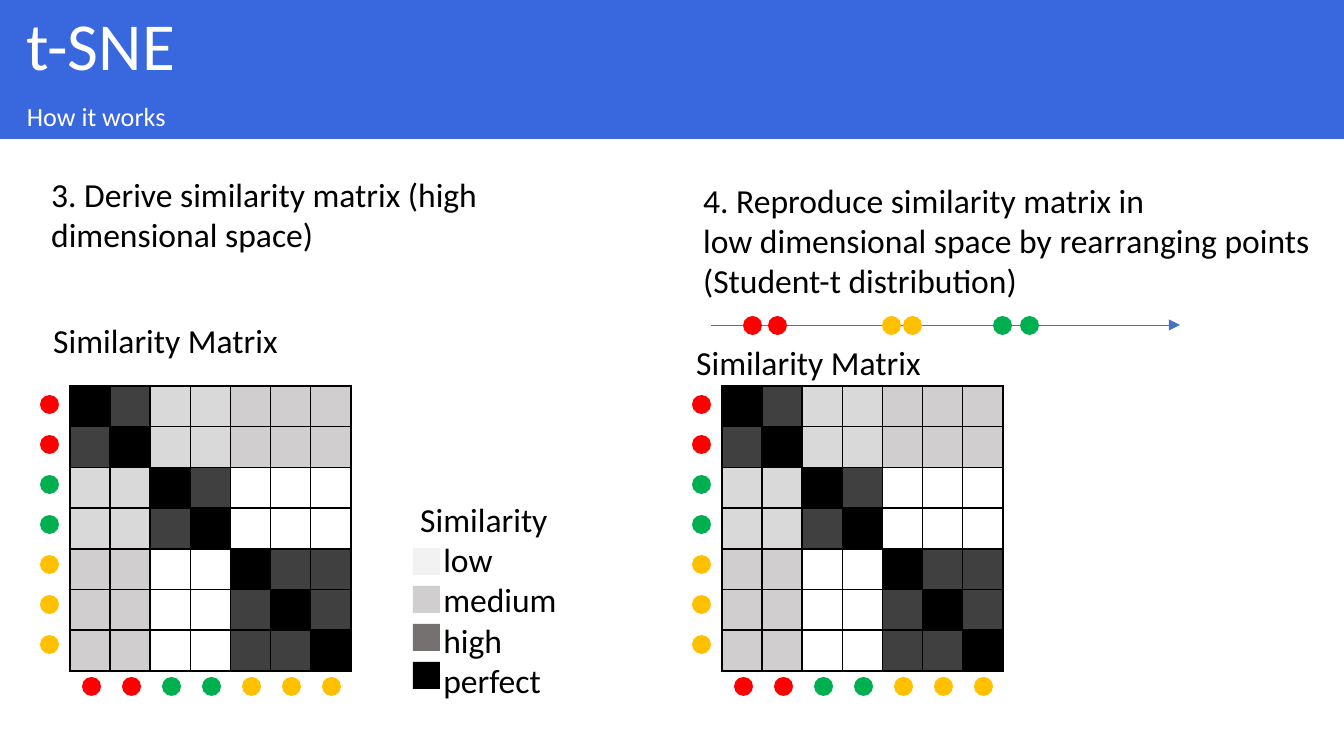
from lxml.etree import SubElement
from pptx import Presentation
from pptx.dml.color import RGBColor
from pptx.enum.shapes import MSO_CONNECTOR, MSO_SHAPE
from pptx.enum.text import MSO_ANCHOR, PP_ALIGN
from pptx.oxml.ns import qn
from pptx.util import Emu, Pt

RED, GREEN, YELLOW = "FF0000", "00B050", "FFC000"
BLACK, WHITE, BLUE = "000000", "FFFFFF", "3967DE"
POINTS = [RED, RED, GREEN, GREEN, YELLOW, YELLOW, YELLOW]
SIMILARITIES = {
    frozenset([RED, GREEN]): "D9D9D9",
    frozenset([RED, YELLOW]): "D0CECE",
    frozenset([GREEN, YELLOW]): WHITE,
}
SAME_CLUSTER = "404040"
DOT = 19
PITCH = 40


def px(length):
    return Emu(round(length * 914400 / 134.4))


def color(value):
    return RGBColor.from_string(value)


def style_text(paragraph, size, value):
    paragraph.font.name = "Calibri"
    paragraph.font.size = Pt(size)
    paragraph.font.color.rgb = color(value)


def add_filled(shapes, preset, left, top, width, height, fill):
    shape = shapes.add_shape(preset, px(left), px(top), px(width), px(height))
    shape.shadow.inherit = False
    shape.fill.solid()
    shape.fill.fore_color.rgb = color(fill)
    shape.line.fill.background()
    return shape


def add_dot(shapes, left, top, fill):
    return add_filled(shapes, MSO_SHAPE.OVAL, left, top, DOT, DOT, fill)


def add_text(slide, left, top, width, height, lines, wrap=True):
    frame = slide.shapes.add_textbox(px(left), px(top), px(width), px(height)).text_frame
    frame.word_wrap = wrap
    frame.text = "\n".join(lines)
    for paragraph in frame.paragraphs:
        style_text(paragraph, 18, BLACK)
    return frame


def add_header_band(slide, top, height, text, size):
    shape = add_filled(slide.shapes, MSO_SHAPE.RECTANGLE, 0, top, 1344, height, BLUE)
    frame = shape.text_frame
    frame.margin_left = px(27)
    frame.vertical_anchor = MSO_ANCHOR.MIDDLE
    frame.text = text
    paragraph = frame.paragraphs[0]
    paragraph.alignment = PP_ALIGN.LEFT
    paragraph.line_spacing = 0.9
    paragraph.space_before = Pt(10)
    style_text(paragraph, size, WHITE)


def similarity_fill(row, column):
    if row == column:
        return BLACK
    if POINTS[row] == POINTS[column]:
        return SAME_CLUSTER
    return SIMILARITIES[frozenset([POINTS[row], POINTS[column]])]


def style_cell(cell, fill):
    cell.margin_left = cell.margin_right = cell.margin_top = cell.margin_bottom = 0
    style_text(cell.text_frame.paragraphs[0], 8, BLACK)
    properties = cell._tc.get_or_add_tcPr()
    for side in ("a:lnL", "a:lnR", "a:lnT", "a:lnB"):
        border = SubElement(properties, qn(side), w=str(Pt(1)))
        SubElement(SubElement(border, qn("a:solidFill")), qn("a:srgbClr"), val=BLACK)
    cell.fill.solid()
    cell.fill.fore_color.rgb = color(fill)


def add_matrix(slide, left, top):
    width, height = 281, 285
    for index, fill in enumerate(POINTS):
        add_dot(slide.shapes, left, top + 9 + index * PITCH, fill)
    column_dots = slide.shapes.add_group_shape()
    for index, fill in enumerate(POINTS):
        add_dot(column_dots.shapes, left + 42 + index * PITCH, top + 291, fill)
    count = len(POINTS)
    table = slide.shapes.add_table(
        count, count, px(left + 30), px(top), px(width), px(height)
    ).table
    table.first_row = table.horz_banding = False
    for row in range(count):
        table.rows[row].height = px(height / count)
        table.columns[row].width = px(width / count)
        for column in range(count):
            style_cell(table.cell(row, column), similarity_fill(row, column))


def add_legend(slide, left, top):
    levels = {"low": "F2F2F2", "medium": "D0CECE", "high": "767171", "perfect": BLACK}
    frame = add_text(slide, left, top, 164, 218, ["Similarity", *levels], wrap=False)
    for paragraph in frame.paragraphs[1:]:
        paragraph._p.get_or_add_pPr().set("marL", str(px(23)))
    for index, fill in enumerate(levels.values()):
        add_filled(slide.shapes, MSO_SHAPE.RECTANGLE,
                   left + 6, top + 56 + index * 38, 27, 27, fill)


def add_point_axis(slide, left, top, width):
    axis = slide.shapes.add_connector(
        MSO_CONNECTOR.STRAIGHT, px(left), px(top), px(left + width), px(top)
    )
    axis.line.color.rgb = color("4472C4")
    axis.line.width = Pt(0.5)
    SubElement(axis.line._get_or_add_ln(), qn("a:tailEnd"), type="triangle")
    SubElement(axis._element.spPr, qn("a:effectLst"))
    positions = {RED: (32, 57), YELLOW: (171, 192), GREEN: (282, 309)}
    for fill, offsets in positions.items():
        for offset in offsets:
            add_dot(slide.shapes, left + offset, top - 9, fill)


def add_panel(slide, left, top, heading, title):
    add_text(slide, *heading)
    add_matrix(slide, left, top)
    add_text(slide, *title, 254, 54, ["Similarity Matrix"], wrap=False)


def main():
    presentation = Presentation()
    presentation.slide_width, presentation.slide_height = px(1344), px(756)
    slide = presentation.slides.add_slide(presentation.slide_layouts[6])
    add_header_band(slide, 0, 97, "t-SNE", 36)
    add_header_band(slide, 97, 42, "How it works", 14)
    high_heading = (38, 167, 614, 136,
                    ["3. Derive similarity matrix (high dimensional space)"])
    low_heading = (690, 173, 672, 136, [
        "4. Reproduce similarity matrix in",
        "low dimensional space by rearranging points",
        "(Student-t distribution)",
    ])
    add_panel(slide, 40, 386, high_heading, (40, 313))
    add_legend(slide, 407, 492)
    add_panel(slide, 692, 386, low_heading, (683, 335))
    add_point_axis(slide, 711, 325, 469)
    presentation.save("out.pptx")


if __name__ == "__main__":
    main()
